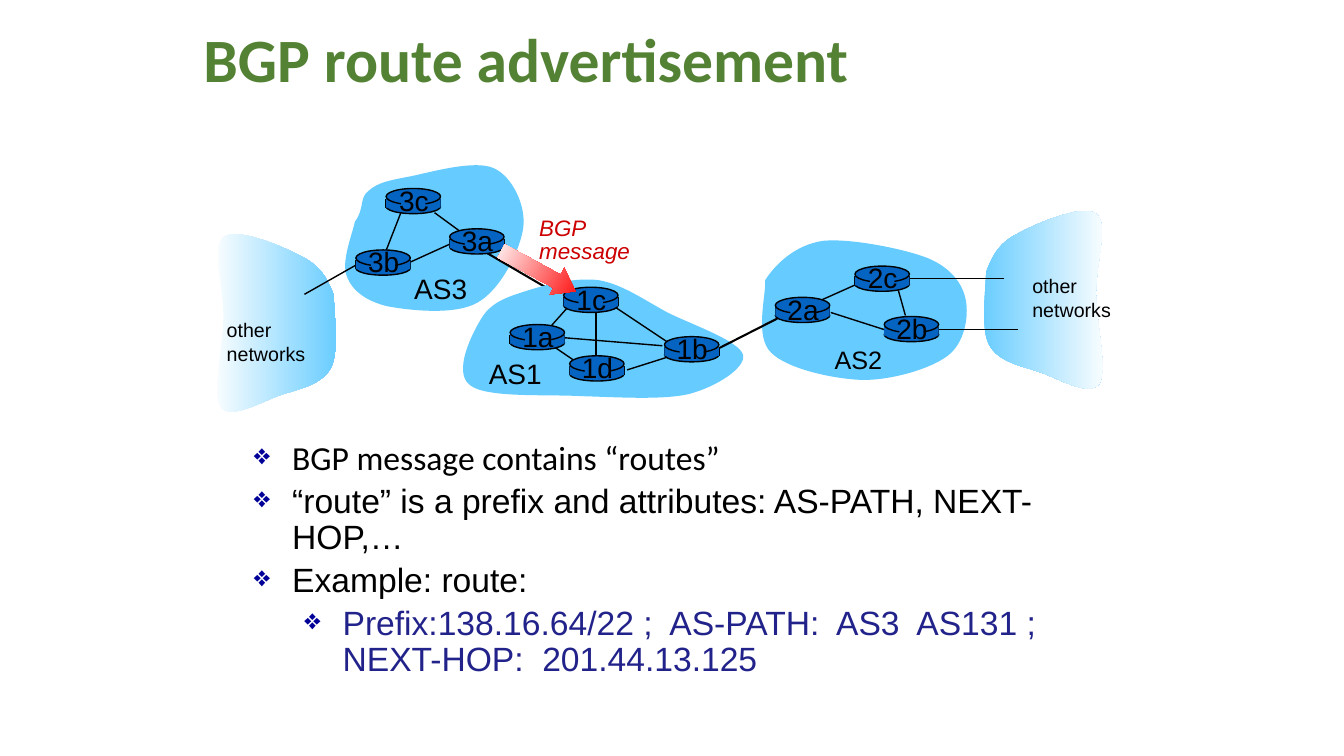
import pptx
import pptx.dml.color
import pptx.enum.shapes
import pptx.enum.text
import pptx.oxml.ns
import pptx.util
from lxml import etree
from pptx.util import Inches

SHAPE = pptx.enum.shapes.MSO_SHAPE
ALIGN = pptx.enum.text.PP_ALIGN
ANCHOR = pptx.enum.text.MSO_ANCHOR

SKY, ROUTER, BLACK, RED, NAVY = "66CCFF", "0563C1", "000000", "CC0000", "22228B"

# Each outline: a start point, then Bezier triples (control, control, end).
OTHER_CLOUD = [
    (9.78, 2.7),
    (9.84, 2.54), (9.91, 2.41), (10.09, 2.32),
    (10.27, 2.22), (10.74, 2.02), (10.87, 2.12),
    (11, 2.21), (10.87, 2.62), (10.87, 2.9),
    (10.87, 3.19), (10.99, 3.68), (10.9, 3.81),
    (10.8, 3.94), (10.49, 3.75), (10.31, 3.69),
    (10.13, 3.63), (9.9, 3.59), (9.81, 3.42),
    (9.72, 3.26), (9.78, 2.85), (9.78, 2.7)]
AS2_CLOUD = [
    (7.59, 2.78),
    (7.69, 2.62), (7.89, 2.43), (8.16, 2.39),
    (8.43, 2.36), (8.97, 2.47), (9.2, 2.56),
    (9.44, 2.66), (9.55, 2.82), (9.58, 2.98),
    (9.61, 3.14), (9.57, 3.4), (9.4, 3.53),
    (9.23, 3.66), (8.85, 3.77), (8.56, 3.77),
    (8.26, 3.76), (7.81, 3.66), (7.65, 3.5),
    (7.48, 3.34), (7.6, 2.93), (7.59, 2.78)]
AS3_CLOUD = [
    (3.52, 2.2),
    (3.62, 2.07), (3.56, 1.96), (3.66, 1.89),
    (3.75, 1.81), (3.86, 1.79), (4.07, 1.75),
    (4.27, 1.71), (4.71, 1.58), (4.9, 1.67),
    (5.08, 1.75), (5.22, 2.04), (5.19, 2.26),
    (5.16, 2.48), (4.97, 2.87), (4.74, 3),
    (4.52, 3.13), (4.07, 3.08), (3.85, 3.04),
    (3.63, 2.99), (3.49, 2.88), (3.44, 2.74),
    (3.38, 2.6), (3.5, 2.31), (3.52, 2.2)]
AS1_CLOUD = [
    (4.78, 3.15),
    (4.88, 2.99), (5.05, 2.94), (5.24, 2.88),
    (5.43, 2.82), (5.71, 2.75), (5.94, 2.78),
    (6.17, 2.82), (6.38, 2.97), (6.62, 3.1),
    (6.86, 3.22), (7.33, 3.38), (7.37, 3.52),
    (7.4, 3.65), (7.1, 3.84), (6.83, 3.91),
    (6.56, 3.97), (6.12, 3.94), (5.76, 3.93),
    (5.4, 3.91), (4.82, 3.95), (4.66, 3.82),
    (4.49, 3.69), (4.68, 3.31), (4.78, 3.15)]

# x1, y1, x2, y2, width in points
LINK_3A_1C = (4.83, 2.51, 5.6, 2.96, 1.5)
LINKS = [
    (4.07, 2.6, 4.51, 2.4, 1), (4.57, 2.3, 4.31, 2.11, 1), (3.98, 2.1, 3.82, 2.51, 1),
    (5.63, 3.05, 5.47, 3.23, 1), (5.91, 3.09, 5.91, 3.59, 1), (6.09, 3.04, 6.63, 3.4, 1),
    (6.63, 3.54, 6.22, 3.67, 1), (6.57, 3.43, 5.59, 3.35, 1), (5.48, 3.43, 5.7, 3.58, 1),
    (8.05, 3.02, 8.52, 2.81, 1), (8.24, 3.1, 8.77, 3.27, 1), (8.91, 2.88, 8.98, 3.13, 1),
    (9.02, 2.76, 9.96, 2.76, 0.75), (9.3, 3.27, 10.1, 3.27, 0.75),
    (3.53, 2.63, 3.02, 2.92, 1), (7.14, 3.45, 7.71, 3.16, 1.5)]
ROUTERS = {
    "3b": (3.53, 2.48), "3c": (3.83, 1.87), "3a": (4.46, 2.27),
    "1c": (5.59, 2.85), "1a": (5.06, 3.22), "1d": (5.65, 3.53), "1b": (6.59, 3.34),
    "2a": (7.69, 2.95), "2c": (8.48, 2.64), "2b": (8.77, 3.14)}
# lines, box, size, colour, italic, line spacing
LABELS = [
    (["AS3"], (4.01, 2.64, 0.73, 0.43), 20, BLACK, False, 1),
    (["AS1"], (4.75, 3.49, 0.73, 0.43), 20, BLACK, False, 1),
    (["AS2"], (8.18, 3.37, 0.67, 0.4), 18, BLACK, False, 1),
    (["other", "networks"], (10.14, 2.67, 0.99, 0.57), 14, BLACK, False, 1),
    (["other", "networks"], (2.15, 3.11, 0.99, 0.57), 14, BLACK, False, 1),
    (["BGP", "message"], (5.25, 2.12, 1.1, 0.56), 16, RED, True, 0.85)]
# text, left margin, font, colour
BULLETS = [
    ("BGP message contains “routes”", 0.38, "Calibri", BLACK),
    ("“route” is a prefix and attributes: AS-PATH, NEXT-HOP,…", 0.38, "Arial", BLACK),
    ("Example: route:", 0.38, "Arial", BLACK),
    ("Prefix:138.16.64/22 ;  AS-PATH:  AS3  AS131 ;  NEXT-HOP:  201.44.13.125",
     0.88, "Arial", NAVY)]

prs = pptx.Presentation()
prs.slide_width, prs.slide_height = Inches(13.33), Inches(7.5)
s = prs.slides.add_slide(prs.slide_layouts[6])
qn = pptx.oxml.ns.qn


def color(value):
    return pptx.dml.color.RGBColor.from_string(value)


def paint(sp, fill, outline=False):
    """Fill with one colour, or left to right with a pair of colours."""
    sp.shadow.inherit = False
    if isinstance(fill, tuple):
        sp.fill.gradient()
        sp.fill.gradient_angle = 0
        for stop, position, value in zip(sp.fill.gradient_stops, (0, 1), fill):
            stop.position = position
            stop.color.rgb = color(value)
    else:
        sp.fill.solid()
        sp.fill.fore_color.rgb = color(fill)
    if outline:
        sp.line.color.rgb = color(BLACK)
        sp.line.width = pptx.util.Pt(1)
    else:
        sp.line.fill.background()


def add_cloud(points, fill):
    """Lay the points as segments, then join each three into one Bezier curve."""
    grid = [(round(x * 100), round(y * 100)) for x, y in points]
    builder = s.shapes.build_freeform(*grid[0], scale=Inches(0.01))
    builder.add_line_segments(grid[1:], close=True)
    sp = builder.convert_to_shape()
    segments = list(sp._element.iter(qn("a:lnTo")))
    for i in range(0, len(segments), 3):
        curve = etree.Element(qn("a:cubicBezTo"))
        segments[i].addprevious(curve)
        for segment in segments[i:i + 3]:
            curve.append(segment[0])
            segment.getparent().remove(segment)
    paint(sp, fill)


def add_link(x1, y1, x2, y2, width=1, shapes=s.shapes):
    line = shapes.add_connector(pptx.enum.shapes.MSO_CONNECTOR.STRAIGHT,
                                *map(Inches, (x1, y1, x2, y2)))
    line.line.color.rgb = color(BLACK)
    line.line.width = pptx.util.Pt(width)
    etree.SubElement(line._element.spPr, qn("a:effectLst"))


def add_part(kind, box, fill, outline=False, shapes=s.shapes):
    sp = shapes.add_shape(kind, *map(Inches, box))
    paint(sp, fill, outline)
    return sp


def add_box(box, wrap, anchor=ANCHOR.TOP, shapes=s.shapes):
    tf = shapes.add_textbox(*map(Inches, box)).text_frame
    tf.word_wrap = wrap
    tf.vertical_anchor = anchor
    return tf


def add_run(p, text, size, font, value, bold=False, italic=False):
    r = p.add_run()
    r.text = text
    r.font.size, r.font.name = pptx.util.Pt(size), font
    r.font.bold, r.font.italic = bold, italic
    r.font.color.rgb = color(value)


def add_label(lines, box, size, value=BLACK, italic=False, spacing=1, align=ALIGN.LEFT,
              shapes=s.shapes):
    tf = add_box(box, False, shapes=shapes)
    for i, text in enumerate(lines):
        p = tf.add_paragraph() if i else tf.paragraphs[0]
        p.alignment, p.line_spacing = align, spacing
        add_run(p, text, size, "Arial", value, italic=italic)


def add_router(name, x, y):
    g = s.shapes.add_group_shape().shapes
    add_part(SHAPE.OVAL, (x, y + 0.11, 0.54, 0.14), ROUTER, True, g)
    for side in (x, x + 0.54):
        add_link(side, y + 0.1, side, y + 0.19, shapes=g)
    add_part(SHAPE.RECTANGLE, (x, y + 0.1, 0.54, 0.09), ROUTER, shapes=g)
    add_part(SHAPE.OVAL, (x, y, 0.54, 0.16), ROUTER, True, g)
    add_part(SHAPE.RECTANGLE, (x + 0.15, y + 0.02, 0.24, 0.21), ROUTER, shapes=g)
    add_label([name], (x + 0.02, y - 0.1, 0.51, 0.43), 20, align=ALIGN.CENTER, shapes=g)


def add_bullet(p, margin):
    pPr = p._p.get_or_add_pPr()
    pPr.set("marL", str(Inches(margin)))
    pPr.set("indent", str(Inches(-0.38)))
    etree.SubElement(etree.SubElement(pPr, qn("a:buClr")), qn("a:srgbClr"), val="000099")
    etree.SubElement(pPr, qn("a:buSzPct"), val="85000")
    etree.SubElement(pPr, qn("a:buChar"), char="❖")


p = add_box((1.92, 0, 8.5, 1.25), True, ANCHOR.MIDDLE).paragraphs[0]
p.line_spacing = 0.9
add_run(p, "BGP route advertisement", 44, "Calibri", "548235", bold=True)

add_cloud(OTHER_CLOUD, (SKY, "FFFFFF"))
add_cloud([(13.09 - x, y + 0.23) for x, y in OTHER_CLOUD], ("FFFFFF", SKY))
add_cloud(AS2_CLOUD, SKY)
add_cloud(AS3_CLOUD, SKY)
add_link(*LINK_3A_1C)
add_cloud(AS1_CLOUD, SKY)
for link in LINKS:
    add_link(*link)
for name, (x, y) in ROUTERS.items():
    add_router(name, x, y)
arrow = add_part(SHAPE.LEFT_ARROW, (4.92, 2.54, 0.84, 0.3), ("FF0000", "FFFFFF"))
arrow.rotation = 208.5
arrow.adjustments[0], arrow.adjustments[1] = 0.5, 0.7
for label in LABELS:
    add_label(*label)

tf = add_box((2.42, 4.33, 8.83, 2.59), True)
for i, (text, margin, font, value) in enumerate(BULLETS):
    p = tf.add_paragraph() if i else tf.paragraphs[0]
    add_bullet(p, margin)
    p.level = int(margin > 0.5)
    p.line_spacing = 0.9
    if i:
        p.space_before = pptx.util.Pt(4.8)
    add_run(p, text, 24, font, value)

prs.save("out.pptx")
